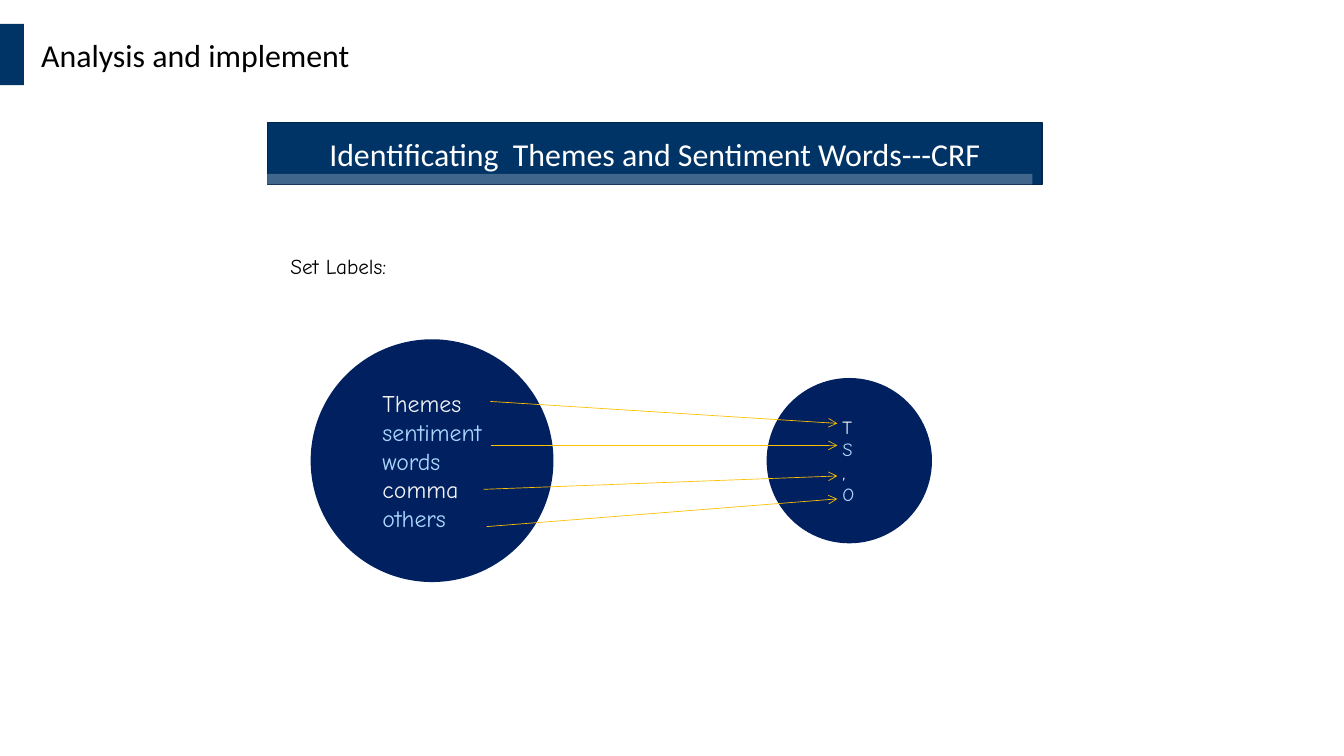
from pptx import Presentation, util as u
from pptx.dml.color import RGBColor
from pptx.enum import shapes as sh, text as tx
from pptx.oxml.ns import qn
from lxml import etree

NAVY, DEEP, EDGE = "003366", "002060", "00264B"
GOLD, WHITE, BLACK = "FFC000", "FFFFFF", "000000"
TINTS = ["F2F2F2", "ADD6FF"]
SANS, HAND = "Calibri", "Comic Neue"


def rgb(code):
    return RGBColor.from_string(code)


def place(item, box):
    item.left, item.top, item.width, item.height = map(u.Inches, box)


def style(par, size, face, color):
    for run in par.runs:
        run.font.size = u.Pt(size)
        run.font.name = face
        run.font.color.rgb = rgb(color)


def inset(frame, x, y):
    frame.margin_left = frame.margin_right = u.Inches(x)
    frame.margin_top = frame.margin_bottom = u.Inches(y)


def shape(slide, kind, box, fill):
    item = slide.shapes.add_shape(kind, *map(u.Inches, box))
    item.shadow.inherit = False
    item.fill.solid()
    item.fill.fore_color.rgb = rgb(fill)
    item.line.fill.background()
    return item


# Slide heading with the marker at the left edge
def heading(slide, box, words):
    x, y, w, h = box
    shape(slide, sh.MSO_SHAPE.RECTANGLE, (x, y, 0.25, h), NAVY)
    title = slide.shapes.title
    place(title, (x + 0.43, y + 0.12, w - 0.43, 0.4))
    frame = title.text_frame
    frame.text = words
    frame.auto_size = tx.MSO_AUTO_SIZE.NONE
    frame.vertical_anchor = tx.MSO_ANCHOR.TOP
    inset(frame, 0, 0)
    par = frame.paragraphs[0]
    par.alignment = tx.PP_ALIGN.LEFT
    style(par, 24, SANS, BLACK)


# Topic banner with a translucent strip along its foot
def banner(slide, box, words):
    x, y, w, h = box
    bar = shape(slide, sh.MSO_SHAPE.RECTANGLE, box, NAVY)
    bar.line.color.rgb = rgb(EDGE)
    bar.line.width = u.Pt(1)
    frame = bar.text_frame
    frame.text = words
    frame.vertical_anchor = tx.MSO_ANCHOR.MIDDLE
    par = frame.paragraphs[0]
    par.alignment = tx.PP_ALIGN.CENTER
    style(par, 24, SANS, WHITE)
    strip = shape(slide, sh.MSO_SHAPE.RECTANGLE,
                  (x - 0.31, y + h - 0.11, w + 0.21, 0.11), WHITE)
    color = strip.fill._xPr.find(".//" + qn("a:srgbClr"))
    etree.SubElement(color, qn("a:alpha"), val="25000")


# Caption above the diagram
def caption(slide, box, words):
    frame = slide.shapes.add_textbox(*map(u.Inches, box)).text_frame
    frame.word_wrap = True
    frame.text = words
    par = frame.paragraphs[0]
    par._p.get_or_add_pPr().set("indent", str(u.Inches(0.14)))
    style(par, 16, HAND, BLACK)


# Circle holding a list in alternating tints, set in from the left
def circle(slide, box, items, size, left):
    frame = shape(slide, sh.MSO_SHAPE.OVAL, box, DEEP).text_frame
    frame.text = "\n".join(items)
    frame.word_wrap = True
    frame.vertical_anchor = tx.MSO_ANCHOR.MIDDLE
    inset(frame, 0.07, 0.06)
    frame.margin_left = u.Inches(left)
    for i, par in enumerate(frame.paragraphs):
        par.alignment = tx.PP_ALIGN.LEFT
        style(par, size, HAND, TINTS[i % 2])


def arrow(slide, start, end):
    line = slide.shapes.add_connector(
        sh.MSO_CONNECTOR.STRAIGHT, *map(u.Inches, start + end))
    line.line.color.rgb = rgb(GOLD)
    line.line.width = u.Pt(0.5)
    etree.SubElement(line.line._get_or_add_ln(), qn("a:tailEnd"), type="arrow")
    etree.SubElement(line._element.spPr, qn("a:effectLst"))


# Word classes on the left, mapped to their labels on the right
def mapping(slide, box):
    x, y, w, h = box
    circle(slide, (x, y, h, h),
           ["Themes", "sentiment words", "comma", "others"], 18, 0.38)
    small = 1.73
    circle(slide, (x + w - small, y + (h - small) / 2, small, small),
           ["T", "S", ",", "O"], 14, 0.54)
    links = [(1.88, 0.65, 0.88), (1.89, 1.11, 1.11),
             (1.81, 1.57, 1.43), (1.84, 1.96, 1.67)]
    for dx, near, far in links:
        arrow(slide, (x + dx, y + near), (x + 5.51, y + far))


def main():
    deck = Presentation()
    deck.slide_width, deck.slide_height = u.Inches(14.06), u.Inches(7.91)
    slide = deck.slides.add_slide(deck.slide_layouts[5])
    heading(slide, (0, 0.25, 4.36, 0.64), "Analysis and implement")
    banner(slide, (2.8, 1.28, 8.1, 0.65),
           "Identificating  Themes and Sentiment Words---CRF")
    caption(slide, (2.8, 2.6, 7.65, 0.37), "Set Labels:")
    mapping(slide, (3.25, 3.55, 6.5, 2.54))
    deck.save("out.pptx")


if __name__ == "__main__":
    main()
